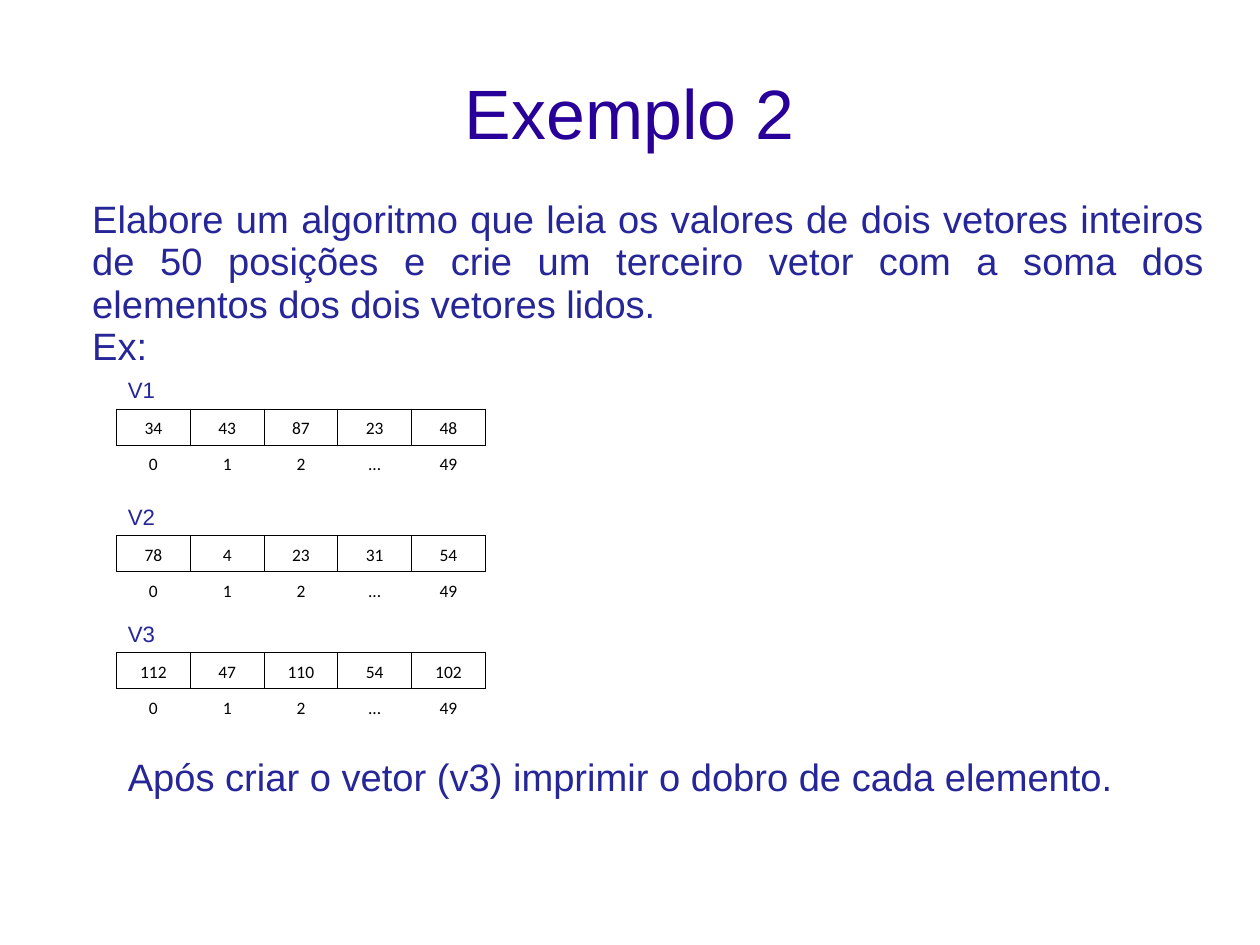
from dataclasses import dataclass

from lxml.etree import SubElement
from pptx import Presentation
from pptx.dml.color import RGBColor as RGB
from pptx.enum.text import MSO_ANCHOR as Anchor, MSO_AUTO_SIZE as AutoSize, PP_ALIGN as Align
from pptx.oxml.ns import qn
from pptx.slide import Slide
from pptx.table import _Cell as Cell
from pptx.text.text import TextFrame, _Paragraph as Paragraph
from pptx.util import Cm, Pt


@dataclass(frozen=True)
class Style:
    font: str
    size: float
    color: str
    spacing: float


@dataclass(frozen=True)
class Theme:
    title: Style = Style("Arial", 44, "280099", 0.93)
    body: Style = Style("Arial", 24, "262699", 0.93)
    label: Style = Style("Arial", 14, "262699", 0.93)
    cell: Style = Style("Calibri", 11, "000000", 1.15)
    border: str = "000000"
    border_width: float = 0.45


@dataclass(frozen=True)
class Box:
    left: float
    top: float
    width: float
    height: float

    def lengths(self) -> tuple[Cm, Cm, Cm, Cm]:
        return Cm(self.left), Cm(self.top), Cm(self.width), Cm(self.height)


@dataclass(frozen=True)
class Vector:
    name: str
    top: float
    values: tuple[str, ...]


THEME = Theme()
VECTOR_LEFT = 2.59
COLUMN_WIDTH = 1.64
ROW_HEIGHT = 0.8
LABEL_HEIGHT = 0.8
INDICES = ("0", "1", "2", "...", "49")
VECTORS = (
    Vector("V1", 9.09, ("34", "43", "87", "23", "48")),
    Vector("V2", 11.9, ("78", "4", "23", "31", "54")),
    Vector("V3", 14.5, ("112", "47", "110", "54", "102")),
)
STATEMENT = (
    "Elabore um algoritmo que leia os valores de dois vetores inteiros de 50 posições "
    "e crie um terceiro vetor com a soma dos elementos dos dois vetores lidos.",
    "Ex:",
)
TASK = "Após criar o vetor (v3) imprimir o dobro de cada elemento."


def write(p: Paragraph, text: str, style: Style, align: Align) -> None:
    p.alignment = align
    p.line_spacing = style.spacing
    r = p.add_run()
    r.text = text
    r.font.name = style.font
    r.font.size = Pt(style.size)
    r.font.bold = False
    r.font.color.rgb = RGB.from_string(style.color)


def set_margins(target: TextFrame | Cell, side: float, vertical: float) -> None:
    target.margin_left = target.margin_right = Cm(side)
    target.margin_top = target.margin_bottom = Cm(vertical)


def add_title(s: Slide, text: str, box: Box) -> None:
    sp = s.shapes.title
    sp.left, sp.top, sp.width, sp.height = box.lengths()
    tf = sp.text_frame
    tf.auto_size = AutoSize.NONE
    tf.vertical_anchor = Anchor.MIDDLE
    set_margins(tf, 0, 0)
    write(tf.paragraphs[0], text, THEME.title, Align.CENTER)


def add_text(s: Slide, box: Box, texts: tuple[str, ...], style: Style,
             align: Align = Align.LEFT) -> None:
    tf = s.shapes.add_textbox(*box.lengths()).text_frame
    tf.word_wrap = True
    tf.auto_size = AutoSize.SHAPE_TO_FIT_TEXT
    set_margins(tf, 0.25, 0.13)
    for i, text in enumerate(texts):
        p = tf.add_paragraph() if i else tf.paragraphs[0]
        write(p, text, style, align)


def set_borders(cell: Cell, visible: str) -> None:
    tc_pr = cell._tc.get_or_add_tcPr()
    for i, side in enumerate("LRTB"):
        ln = SubElement(tc_pr, qn(f"a:ln{side}"), w=str(Pt(THEME.border_width)))
        tc_pr.insert(i, ln)
        if side in visible:
            fill = SubElement(ln, qn("a:solidFill"))
            SubElement(fill, qn("a:srgbClr"), val=THEME.border)
        else:
            SubElement(ln, qn("a:noFill"))


def add_vector(s: Slide, vector: Vector) -> None:
    rows = ((vector.values, "LRTB"), (INDICES, "T"))
    box = Box(VECTOR_LEFT, vector.top, COLUMN_WIDTH * len(INDICES), ROW_HEIGHT * len(rows))
    table = s.shapes.add_table(len(rows), len(INDICES), *box.lengths()).table
    table.first_row = table.horz_banding = False
    for row, (texts, borders) in enumerate(rows):
        for column, text in enumerate(texts):
            cell = table.cell(row, column)
            cell.fill.background()
            set_margins(cell, 0.2, 0.13)
            set_borders(cell, borders)
            write(cell.text_frame.paragraphs[0], text, THEME.cell, Align.CENTER)
    label_box = Box(VECTOR_LEFT, vector.top - LABEL_HEIGHT, 1.4, LABEL_HEIGHT)
    add_text(s, label_box, (vector.name,), THEME.label)


def main() -> None:
    prs = Presentation()
    prs.slide_width, prs.slide_height = Cm(28), Cm(21)
    s = prs.slides.add_slide(prs.slide_layouts[5])
    add_title(s, "Exemplo 2", Box(1.4, 0.84, 25.2, 3.5))
    add_text(s, Box(1.8, 4.3, 25.2, 11.58), STATEMENT, THEME.body, Align.JUSTIFY)
    for vector in VECTORS:
        add_vector(s, vector)
    add_text(s, Box(VECTOR_LEFT, 16.7, 23.4, 1.2), (TASK,), THEME.body)
    prs.save("out.pptx")


if __name__ == "__main__":
    main()
